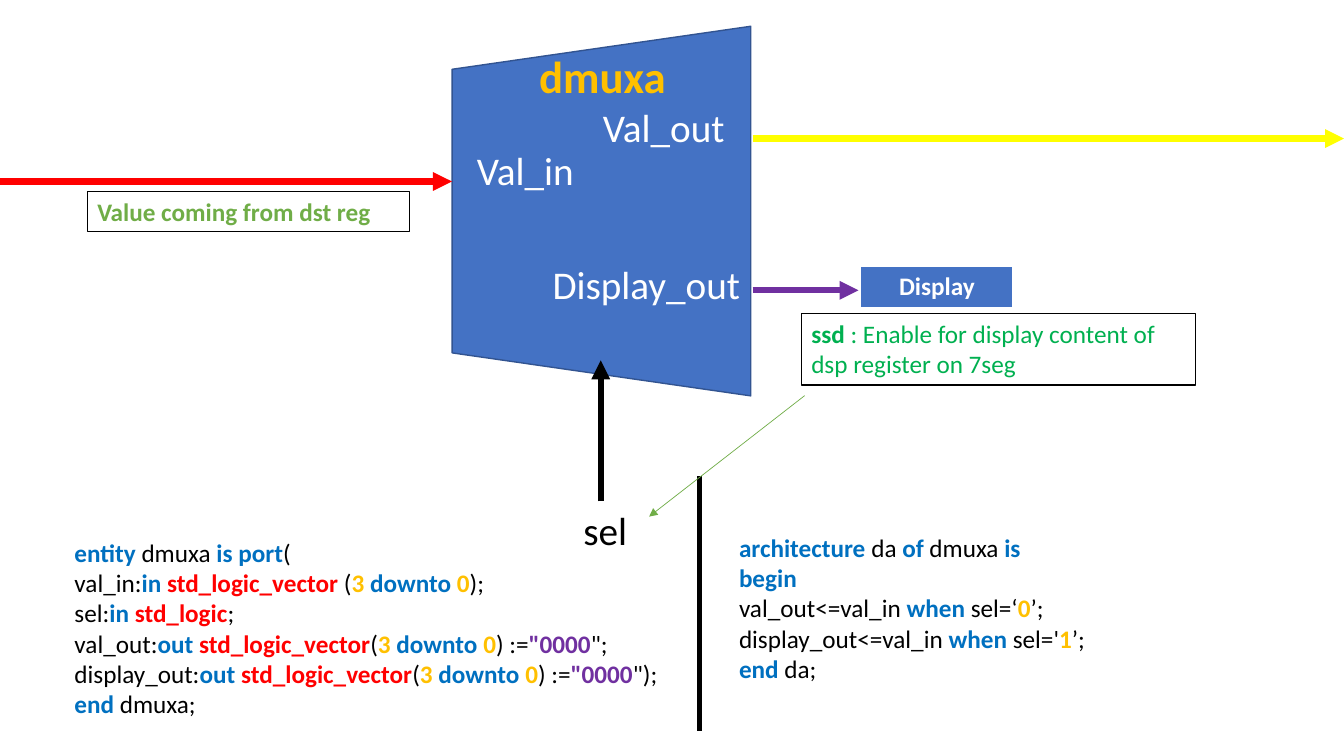
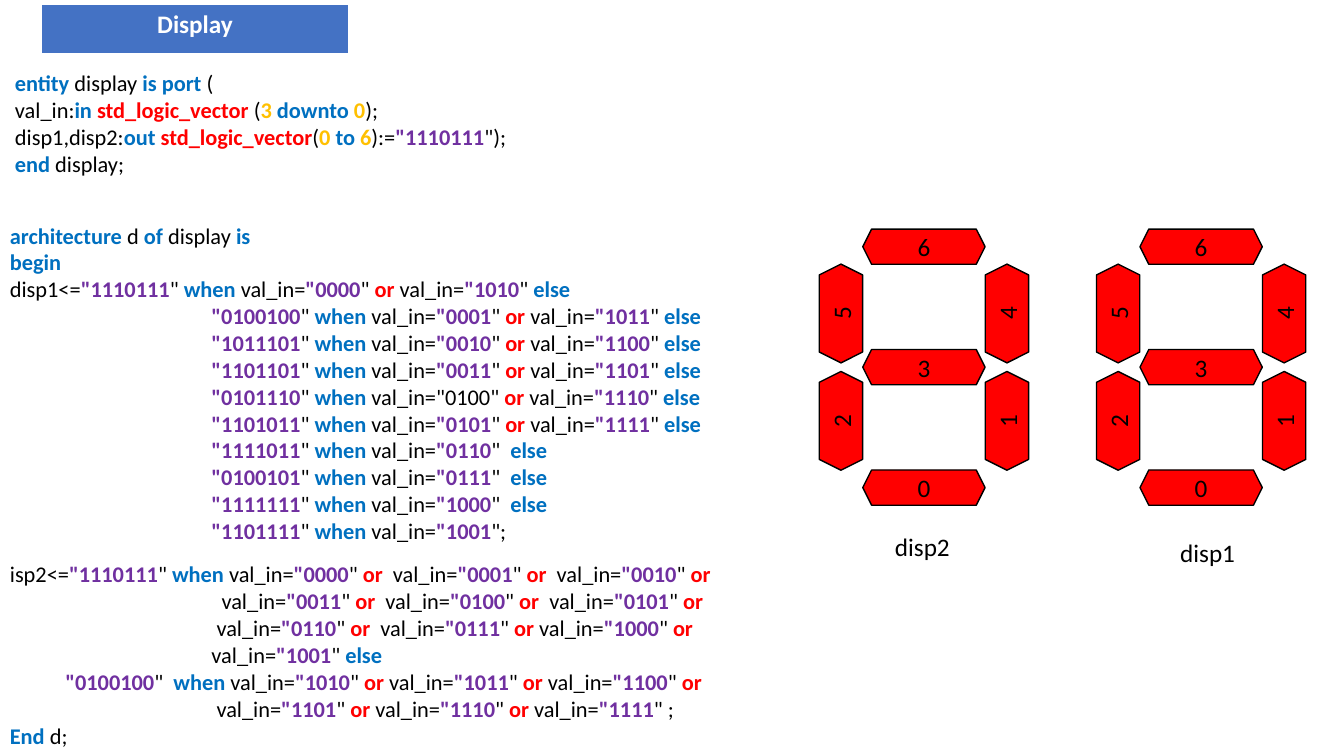
from dataclasses import dataclass
from itertools import groupby

from lxml.etree import SubElement
from pptx import Presentation
from pptx.dml.color import RGBColor
from pptx.enum.shapes import MSO_CONNECTOR as Connector, MSO_SHAPE as Preset
from pptx.enum.text import MSO_ANCHOR as Anchor, PP_ALIGN as Align
from pptx.oxml.ns import qn
from pptx.util import Inches, Pt


@dataclass(frozen=True)
class Theme:
    font: str = "Calibri"
    black: str = "000000"
    white: str = "FFFFFF"
    block: str = "4472C4"
    block_edge: str = "325491"
    red: str = "FF0000"
    yellow: str = "FFFF00"
    amber: str = "FFC000"
    purple: str = "7030A0"
    keyword: str = "0070C0"
    green: str = "00B050"
    soft_green: str = "70AD47"
    heading: int = 32
    port: int = 28
    body: int = 18
    small: int = 16


THEME = Theme()
COLUMNS, ROWS = 40, 30
SLIDE_WIDTH, SLIDE_HEIGHT = Inches(40 / 3), Inches(7.5)

KEYWORDS = set("entity is port in out downto to end End architecture of begin when else".split())
RED_WORDS = {"std_logic", "std_logic_vector", "or"}

DMUXA_ENTITY = [
    "entity dmuxa is port(",
    "val_in:in std_logic_vector (3 downto 0);",
    "sel:in std_logic;",
    'val_out:out std_logic_vector(3 downto 0) :="0000";',
    'display_out:out std_logic_vector(3 downto 0) :="0000");',
    "end dmuxa;",
]
DMUXA_ARCHITECTURE = [
    "architecture da of dmuxa is",
    "begin",
    "val_out<=val_in when sel=‘0’;",
    "display_out<=val_in when sel='1’;",
    "end da;",
]
DISPLAY_ENTITY = [
    "entity display is port (",
    "val_in:in std_logic_vector (3 downto 0);",
    'disp1,disp2:out std_logic_vector(0 to 6):="1110111");',
    "end display;",
]
# A tilde keeps the literal after it in plain text.
DISP1_CASES = [
    '"0100100" when val_in="0001" or val_in="1011" else',
    '"1011101" when val_in="0010" or val_in="1100" else',
    '"1101101" when val_in="0011" or val_in="1101" else',
    '"0101110" when val_in=~"0100" or val_in="1110" else',
    '"1101011" when val_in="0101" or val_in="1111" else',
    '"1111011" when val_in="0110"  else',
    '"0100101" when val_in="0111"  else',
    '"1111111" when val_in="1000"  else',
    '"1101111" when val_in="1001";',
]
DISPLAY_ARCHITECTURE = [
    "architecture d of display is",
    "begin",
    'disp1<="1110111" when val_in="0000" or val_in="1010" else',
    *[(6, case) for case in DISP1_CASES],
]
DISP2_CODE = [
    'isp2<="1110111" when val_in="0000" or  val_in="0001" or  val_in="0010" or',
    (6.3, 'val_in="0011" or  val_in="0100" or  val_in="0101" or'),
    (6.15, 'val_in="0110" or  val_in="0111" or val_in="1000" or'),
    (6, 'val_in="1001" else'),
    (1.65, '"0100100"  when val_in="1010" or val_in="1011" or val_in="1100" or'),
    (6.15, 'val_in="1101" or val_in="1110" or val_in="1111" ;'),
    "End d;",
]

# Segment label: steps right and down from the middle, and whether it stands.
SEGMENTS = {
    "6": (0, -2, False), "4": (1, -1, True), "1": (1, 1, True),
    "0": (0, 2, False), "2": (-1, 1, True), "5": (-1, -1, True),
    "3": (0, 0, False),
}


def columns(count):
    return round(SLIDE_WIDTH * count / COLUMNS)


def rows(count):
    return round(SLIDE_HEIGHT * count / ROWS)


def place(left, top, width, height):
    """Turn a box in grid units into slide lengths."""
    return columns(left), rows(top), columns(width), rows(height)


def rgb(color):
    return RGBColor.from_string(color)


def format_run(run, size, color, bold=False):
    font = run.font
    font.name, font.size, font.bold = THEME.font, Pt(size), bold
    font.color.rgb = rgb(color)


def fill_paragraph(paragraph, runs, size):
    for text, color, bold in runs:
        run = paragraph.add_run()
        run.text = text
        format_run(run, size, color, bold)


def highlight(line):
    """Split a line of VHDL into (text, colour, bold) runs."""
    runs = []
    for _, letters in groupby(line, lambda letter: letter.isalnum() or letter == "_"):
        text = "".join(letters)
        color = THEME.black
        if text in KEYWORDS:
            color = THEME.keyword
        elif text in RED_WORDS:
            color = THEME.red
        elif text.isdigit():
            before = runs[-1][0]
            if before.endswith('~"'):
                runs[-1] = (before.replace("~", ""), THEME.black, False)
            elif before.endswith('"'):
                runs[-1] = (before[:-1], THEME.black, False)
                text, color = '"' + text, THEME.purple
            else:
                color = THEME.amber
        runs.append((text, color, color != THEME.black))
    return [run for run in runs if run[0]]


def add_text(slide, box, runs, size, border=None):
    text_box = slide.shapes.add_textbox(*place(*box))
    text_box.text_frame.word_wrap = True
    fill_paragraph(text_box.text_frame.paragraphs[0], runs, size)
    if border:
        text_box.line.color.rgb = rgb(border)
        text_box.line.width = Pt(0.75)


def add_code(slide, box, lines, size):
    """Add highlighted code; a line may be a pair of indent and text."""
    frame = slide.shapes.add_textbox(*place(*box)).text_frame
    frame.word_wrap = True
    for index, line in enumerate(lines):
        indent, text = (0, line) if isinstance(line, str) else line
        paragraph = frame.add_paragraph() if index else frame.paragraphs[0]
        if indent:
            properties = paragraph._p.get_or_add_pPr()
            properties.set("marL", str(columns(indent)))
            properties.set("indent", "0")
        fill_paragraph(paragraph, highlight(text), size)


def add_line(slide, start, end, color, width, arrow=True):
    connector = slide.shapes.add_connector(
        Connector.STRAIGHT, columns(start[0]), rows(start[1]), columns(end[0]), rows(end[1]))
    connector.line.color.rgb = rgb(color)
    connector.line.width = Pt(width)
    if arrow:
        SubElement(connector.line._get_or_add_ln(), qn("a:tailEnd"), type="triangle")
    SubElement(connector._element.spPr, qn("a:effectLst"))


def add_preset(shapes, preset, box, fill, edge, rotation=0):
    shape = shapes.add_shape(preset, *place(*box))
    shape.rotation = rotation
    shape.shadow.inherit = False
    shape.fill.solid()
    shape.fill.fore_color.rgb = rgb(fill)
    shape.line.color.rgb = rgb(edge)
    shape.line.width = Pt(1)
    return shape


def add_display_table(slide, box):
    table = slide.shapes.add_table(1, 1, *place(*box)).table
    cell = table.cell(0, 0)
    cell.fill.solid()
    cell.fill.fore_color.rgb = rgb(THEME.block)
    cell.text_frame.text = "Display"
    paragraph = cell.text_frame.paragraphs[0]
    paragraph.alignment = Align.CENTER
    format_run(paragraph.runs[0], THEME.body, THEME.white, True)


def add_digit(slide, center, middle):
    """Draw a seven-segment digit as one group."""
    group = slide.shapes.add_group_shape()
    for label, (across, down, standing) in SEGMENTS.items():
        width, height = (2.94, 1.72) if standing else (3.64, 1.4)
        x = center + across * 2.47
        y = middle + down * (2.13 if standing else 2.39)
        segment = add_preset(
            group.shapes, Preset.HEXAGON, (x - width / 2, y - height / 2, width, height),
            THEME.red, THEME.black, 270 if standing else 0)
        frame = segment.text_frame
        frame.text = label
        frame.vertical_anchor = Anchor.MIDDLE
        frame.paragraphs[0].alignment = Align.CENTER
        format_run(frame.paragraphs[0].runs[0], THEME.body, THEME.black)


def build_dmuxa(slide):
    block = add_preset(slide.shapes, Preset.TRAPEZOID, (12.4, 2.45, 11, 11.85),
                       THEME.block, THEME.block_edge, 270)
    block.adjustments[0] = 0.144
    for start, end, color in [
        ((17.88, 19.9), (17.88, 14.3), THEME.black),
        ((0, 7.2), (13.45, 7.2), THEME.red),
        ((22.4, 5.5), (40, 5.5), THEME.yellow),
        ((22.4, 11.52), (25.55, 11.52), THEME.purple),
    ]:
        add_line(slide, start, end, color, 4.5)
    for left, top, width, label, color in [
        (13.9, 5.6, 4.85, "Val_in", THEME.white),
        (17.07, 19.9, 4.85, "sel", THEME.black),
        (17.65, 3.92, 4.85, "Val_out", THEME.white),
        (16.15, 10.12, 7.7, "Display_out", THEME.white),
    ]:
        add_text(slide, (left, top, width, 2.28), [(label, color, False)], THEME.port)
    add_text(slide, (15.75, 1.72, 5.05, 2.56), [("dmuxa", THEME.amber, True)], THEME.heading)
    add_code(slide, (1.92, 21.12, 20, 7.7), DMUXA_ENTITY, THEME.body)
    add_line(slide, (20.82, 18.9), (20.82, 29), THEME.black, 3, arrow=False)
    add_code(slide, (21.7, 20.92, 18, 6.5), DMUXA_ARCHITECTURE, THEME.body)
    add_text(slide, (23.85, 12.44, 11.73, 2.84),
             [("ssd ", THEME.green, True),
              (": Enable for display content of dsp register on 7seg", THEME.green, False)],
             THEME.body, THEME.black)
    add_line(slide, (23.95, 15.7), (19.32, 20.5), THEME.soft_green, 0.5)
    add_display_table(slide, (25.62, 10.56, 4.53, 1.64))
    add_text(slide, (2.6, 7.6, 9.58, 1.6),
             [("Value coming from dst reg", THEME.soft_green, True)], THEME.body, THEME.black)


def build_display(slide):
    for center in (35.75, 27.5):
        add_digit(slide, center, 14.57)
    add_code(slide, (0.15, 2.56, 17, 4.72), DISPLAY_ENTITY, THEME.small)
    add_code(slide, (0, 8.6, 21.3, 13.3), DISPLAY_ARCHITECTURE, THEME.small)
    add_code(slide, (0, 22.05, 23.4, 7.95), DISP2_CODE, THEME.small)
    add_display_table(slide, (1.23, 0.16, 9.15, 1.96))
    for left, top, label in [(34.83, 21.12, "disp1"), (26.34, 20.88, "disp2")]:
        add_text(slide, (left, top, 3.4, 1.6), [(label, THEME.black, False)], THEME.body)


def main():
    presentation = Presentation()
    presentation.slide_width, presentation.slide_height = SLIDE_WIDTH, SLIDE_HEIGHT
    blank = presentation.slide_layouts.get_by_name("Blank")
    for build in (build_dmuxa, build_display):
        build(presentation.slides.add_slide(blank))
    presentation.save("out.pptx")


if __name__ == "__main__":
    main()
